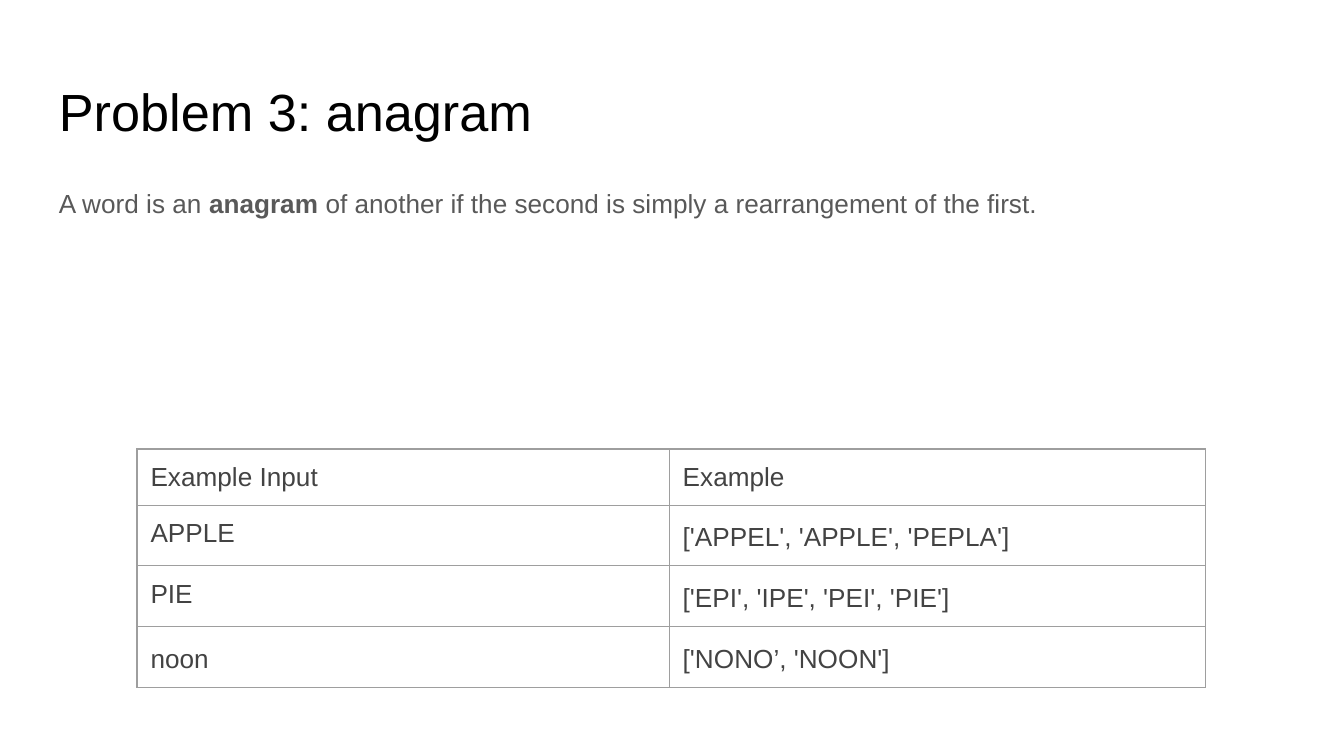
"""Build the anagram problem slide with its table of examples."""
import pptx
import pptx.dml.color
import pptx.enum.text
import pptx.oxml
import pptx.oxml.ns
import pptx.util
from pptx.util import Inches

COLORS = {"title": "000000", "body": "595959", "cell": "434343", "border": "9E9E9E"}
FONT = "Arial"
INSET = Inches(0.1)
TITLE = [("Problem 3: anagram", False)]
DEFINITION = [
    ("A word is an ", False),
    ("anagram", True),
    (" of another if the second is simply a rearrangement of the first.", False),
]
EXAMPLES = [
    ("Example Input", "Example"),
    ("APPLE", "['APPEL', 'APPLE', 'PEPLA']"),
    ("PIE", "['EPI', 'IPE', 'PEI', 'PIE']"),
    ("noon", "['NONO’, 'NOON']"),
]
SPACED_WORDS = {"noon"}
COLUMN_WIDTHS = [3.96, 3.99]
ROW_HEIGHTS = [0.34, 0.38, 0.38, 0.38]


def write(paragraph, pieces, size, color):
    for words, bold in pieces:
        run = paragraph.add_run()
        run.text = words
        run.font.name = FONT
        run.font.size = pptx.util.Pt(size)
        run.font.bold = bold
        run.font.color.rgb = pptx.dml.color.RGBColor.from_string(COLORS[color])


def add_text(slide, top, height, pieces, size, color):
    frame = slide.shapes.add_textbox(
        Inches(0.34), Inches(top), Inches(9.32), Inches(height)
    ).text_frame
    frame.word_wrap = True
    frame.auto_size = pptx.enum.text.MSO_AUTO_SIZE.NONE
    frame.margin_left = frame.margin_right = INSET
    frame.margin_top = frame.margin_bottom = INSET
    write(frame.paragraphs[0], pieces, size, color)
    return frame.paragraphs[0]


def add_borders(cell):
    properties = cell._tc.get_or_add_tcPr()
    for position, side in enumerate("LRTB"):
        properties.insert(position, pptx.oxml.parse_xml(
            f'<a:ln{side} {pptx.oxml.ns.nsdecls("a")} w="{pptx.util.Pt(0.75)}">'
            f'<a:solidFill><a:srgbClr val="{COLORS["border"]}"/></a:solidFill>'
            f'</a:ln{side}>'
        ))


def add_examples(slide):
    table = slide.shapes.add_table(
        len(EXAMPLES), len(COLUMN_WIDTHS), Inches(1.02), Inches(3.34),
        Inches(sum(COLUMN_WIDTHS)), Inches(sum(ROW_HEIGHTS)),
    ).table
    table.first_row = table.horz_banding = False
    for column, width in zip(table.columns, COLUMN_WIDTHS):
        column.width = Inches(width)
    for row, height, example in zip(table.rows, ROW_HEIGHTS, EXAMPLES):
        row.height = Inches(height)
        for index, (cell, words) in enumerate(zip(row.cells, example)):
            cell.margin_left = cell.margin_right = INSET
            cell.margin_top = cell.margin_bottom = INSET
            cell.fill.background()
            add_borders(cell)
            paragraph = cell.text_frame.paragraphs[0]
            write(paragraph, [(words, False)], 14, "cell")
            is_result = index == 1 and example != EXAMPLES[0]
            if is_result or words in SPACED_WORDS:
                paragraph.line_spacing = 1.15


def main():
    presentation = pptx.Presentation()
    presentation.slide_width = Inches(10)
    presentation.slide_height = presentation.slide_width * 9 // 16
    slide = presentation.slides.add_slide(presentation.slide_layouts[6])
    add_text(slide, 0.49, 0.63, TITLE, 28, "title")
    definition = add_text(slide, 1.26, 0.56, DEFINITION, 14, "body")
    definition.line_spacing = 1.15
    definition.space_after = pptx.util.Pt(16)
    add_examples(slide)
    presentation.save("out.pptx")


if __name__ == "__main__":
    main()
